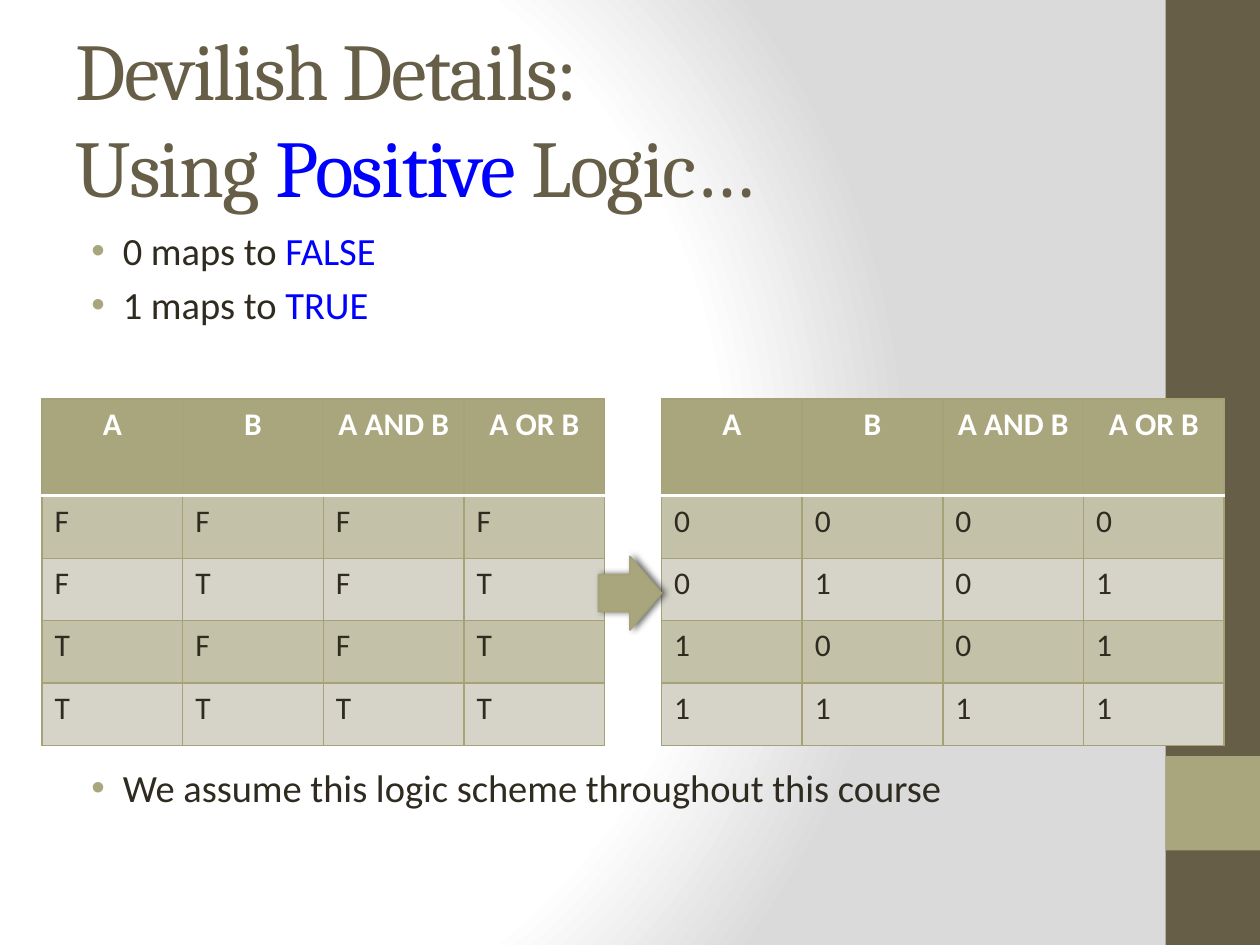
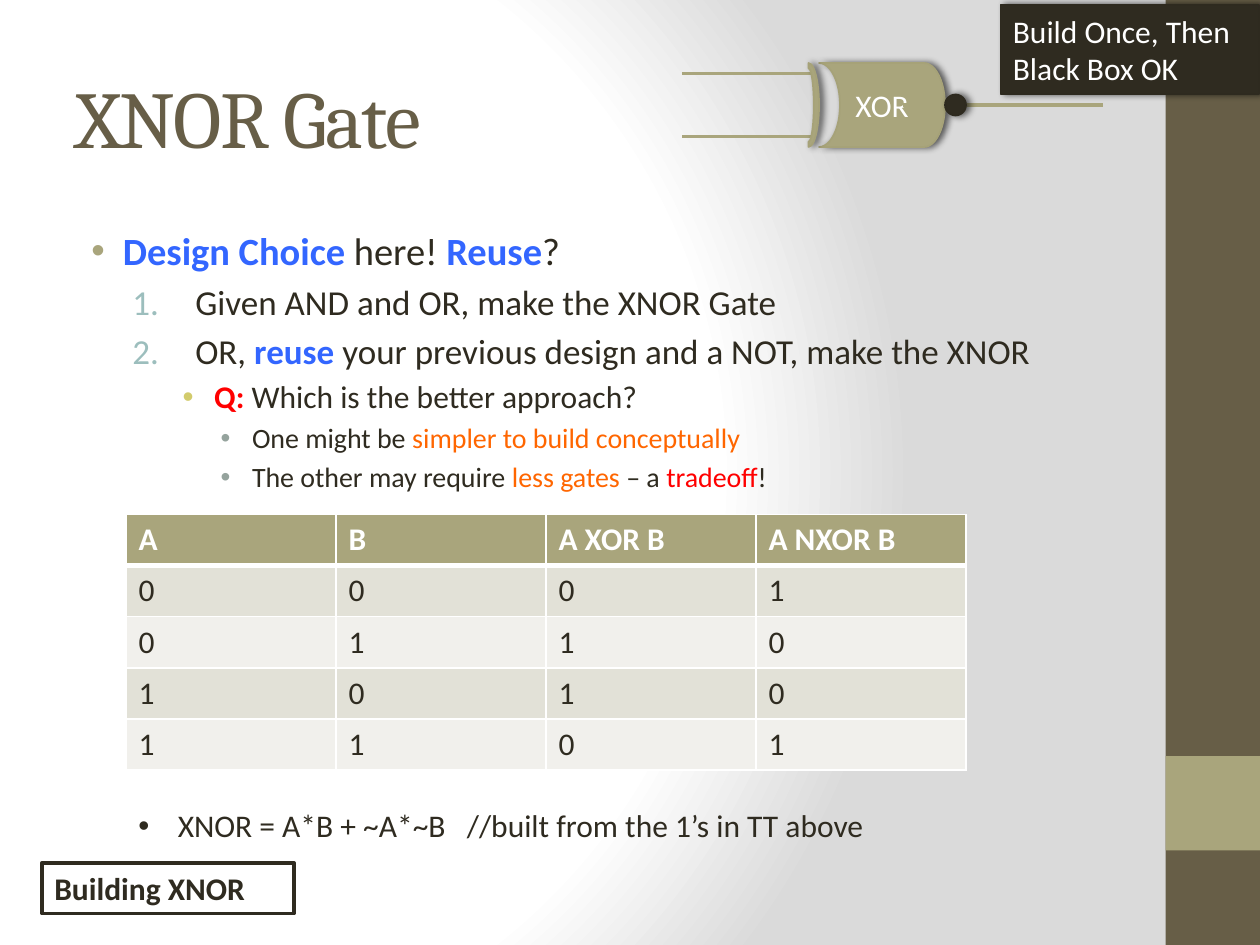
from lxml.etree import SubElement
from pptx import Presentation
from pptx.dml.color import RGBColor
from pptx.enum.shapes import MSO_CONNECTOR as LINE, MSO_SHAPE as SHAPE
from pptx.enum.text import MSO_ANCHOR as ANCHOR, MSO_AUTO_SIZE as FIT, PP_ALIGN as ALIGN
from pptx.oxml import parse_xml
from pptx.oxml.ns import nsdecls, qn
from pptx.util import Pt

COLORS = {
    "white": "FFFFFF", "haze": "DADADA", "brown": "675E47", "olive": "A9A57C",
    "olive_edge": "A6A278", "ink": "2F2B20", "ink_edge": "2E2A1F",
    "blue": "0000FF", "sky": "3366FF", "red": "FF0000", "orange": "FF6600",
    "teal": "9CBEBD", "lime": "D2CB6C", "sage": "95A39D",
    "band_dark": "C4C1A9", "band_light": "D6D4C8",
    "pale_dark": "E2E1D7", "pale_light": "F1F0EC",
}
TITLE = {"name": "Cambria", "size": Pt(46), "color": "brown", "spacing": -1}
TEXT = {"name": "Calibri", "size": Pt(18), "color": "ink"}
WHITE_TEXT = {**TEXT, "color": "white"}
BOLD_TEXT = {**TEXT, "bold": True}
BLUE = {"color": "blue"}
SKY = {"color": "sky", "bold": True}
ORANGE = {"color": "orange"}
LEVELS = {
    "point": {"size": 22, "left": 27, "hang": 18, "bullet": "•", "color": "olive", "depth": 0},
    "step": {"size": 20, "left": 68.4, "hang": 36, "bullet": "1.", "color": "teal", "depth": 1},
    "question": {"size": 18, "left": 79.2, "hang": 18, "bullet": "•", "color": "lime", "depth": 2},
    "answer": {"size": 16, "left": 100.8, "hang": 18, "bullet": "•", "color": "sage", "depth": 3},
    "note": {"size": 18, "left": 22.5, "hang": 22.5, "bullet": "•", "color": "ink", "depth": 0},
}
GATE_HEADS = ["A", "B", "A AND B", "A OR B"]
BITS = ["00", "01", "10", "11"]


def rgb(color):
    return RGBColor.from_string(COLORS[color])


def place(shape, left, top, width, height):
    for side, value in zip(("left", "top", "width", "height"), (left, top, width, height)):
        setattr(shape, side, Pt(value))


def add_spans(para, spans, base):
    for item in spans:
        text, changes = item if isinstance(item, tuple) else (item, {})
        if text == "\n":
            para.add_line_break()
            continue
        span = para.add_run()
        span.text = text
        for key, value in {**base, **changes}.items():
            if key == "color":
                span.font.color.rgb = rgb(value)
            elif key == "spacing":
                span.font._element.set("spc", str(int(value * 100)))
            else:
                setattr(span.font, key, value)


def set_bullet(para, level):
    props = para._p.get_or_add_pPr()
    props.set("marL", str(Pt(level["left"])))
    props.set("indent", str(-Pt(level["hang"])))
    color = SubElement(props, qn("a:buClr"))
    SubElement(color, qn("a:srgbClr"), val=COLORS[level["color"]])
    if level["bullet"] == "1.":
        SubElement(props, qn("a:buFont"), typeface="+mj-lt")
        SubElement(props, qn("a:buAutoNum"), type="arabicPeriod")
    else:
        SubElement(props, qn("a:buFont"), typeface="Arial")
        SubElement(props, qn("a:buChar"), char=level["bullet"])


def fill_list(frame, items):
    frame.word_wrap = True
    frame.auto_size = FIT.NONE
    for number, (name, spans, *gap) in enumerate(items):
        level = LEVELS[name]
        para = frame.add_paragraph() if number else frame.paragraphs[0]
        para.level = level["depth"]
        set_bullet(para, level)
        before = gap[0] if gap else level["size"] * 0.2
        para.space_before = Pt(before if number else 0)
        add_spans(para, spans, {**TEXT, "size": Pt(level["size"])})


def add_shadow(shape):
    shape._element.spPr.append(parse_xml(
        f'<a:effectLst {nsdecls("a")}><a:outerShdw blurRad="{Pt(4)}" dist="{Pt(2)}" dir="0" '
        'rotWithShape="0"><a:srgbClr val="000000"><a:alpha val="60000"/></a:srgbClr>'
        '</a:outerShdw></a:effectLst>'))


def add_block(page, kind, area, fill, edge=None, weight=1, shadow=False, turn=0):
    block = page.shapes.add_shape(kind, *map(Pt, area))
    block.fill.solid()
    block.fill.fore_color.rgb = rgb(fill)
    block.rotation = turn
    if edge:
        block.line.color.rgb = rgb(edge)
        block.line.width = Pt(weight)
    else:
        block.line.fill.background()
    if shadow:
        add_shadow(block)
    else:
        block.shadow.inherit = False
    return block


def label(block, text, style, align=ALIGN.LEFT):
    frame = block.text_frame
    frame.word_wrap = True
    frame.vertical_anchor = ANCHOR.MIDDLE
    frame.paragraphs[0].alignment = align
    add_spans(frame.paragraphs[0], [text], style)


def add_wire(page, left, right, height):
    wire = page.shapes.add_connector(LINE.STRAIGHT, Pt(left), Pt(height), Pt(right), Pt(height))
    wire.line.color.rgb = rgb("olive")
    wire.line.width = Pt(2)
    SubElement(wire._element.spPr, qn("a:effectLst"))


def set_borders(cell, edges):
    props = cell._tc.get_or_add_tcPr()
    for side in "LRTB":
        color, weight = edges[side]
        border = SubElement(props, qn(f"a:ln{side}"), w=str(Pt(weight)))
        paint = SubElement(border, qn("a:solidFill"))
        SubElement(paint, qn("a:srgbClr"), val=COLORS[color])


def add_truth_table(page, area, rows, head_height, bands, edge, rule, align):
    left, top, width, height = area
    columns = len(rows[0])
    table = page.shapes.add_table(len(rows), columns, *map(Pt, area)).table
    table.first_row = table.horz_banding = False
    for column in table.columns:
        column.width = Pt(width / columns)
    for number, row in enumerate(table.rows):
        row.height = Pt((height - head_height) / (len(rows) - 1) if number else head_height)
        for cell, text in zip(row.cells, rows[number]):
            edges = dict.fromkeys("LRTB", (edge, 1))
            if number < 2:
                edges["T" if number else "B"] = ("white", rule)
            set_borders(cell, edges)
            cell.fill.solid()
            cell.fill.fore_color.rgb = rgb(bands[(number - 1) % 2] if number else "olive")
            para = cell.text_frame.paragraphs[0]
            para.alignment = ALIGN.LEFT if number else align
            add_spans(para, [text], TEXT if number else {**WHITE_TEXT, "bold": True})


def set_background(master):
    master.background.fill.solid()
    props = master.element.find(f".//{qn('p:bgPr')}")
    stops = "".join(f'<a:gs pos="{spot * 1000}"><a:srgbClr val="{COLORS[color]}"/></a:gs>'
                    for spot, color in ((0, "white"), (75, "white"), (100, "haze")))
    props.replace(props[0], parse_xml(
        f'<a:gradFill {nsdecls("a")} rotWithShape="1"><a:gsLst>{stops}</a:gsLst>'
        '<a:path path="circle"><a:fillToRect l="20000" t="50000" r="100000" b="50000"/>'
        '</a:path></a:gradFill>'))


def add_page(deck, title_spans, items):
    page = deck.slides.add_slide(deck.slide_layouts[1])
    add_block(page, SHAPE.RECTANGLE, (666, 0, 54, 540), "brown")
    add_block(page, SHAPE.RECTANGLE, (666, 432, 54, 54), "olive")
    title, body = page.placeholders
    place(title, 36, 21.6, 600, 90)
    place(body, 36, 126, 600, 378)
    frame = title.text_frame
    frame.word_wrap = True
    frame.auto_size = FIT.NONE
    frame.vertical_anchor = ANCHOR.MIDDLE
    frame.paragraphs[0].alignment = ALIGN.LEFT
    add_spans(frame.paragraphs[0], title_spans, TITLE)
    fill_list(body.text_frame, items)
    return page


def add_xnor_gate(page):
    solid = {"fill": "olive", "edge": "olive_edge", "shadow": True}
    gate = add_block(page, SHAPE.FLOWCHART_STORED_DATA, (468, 36, 72, 48), turn=180, **solid)
    label(gate, "XOR", WHITE_TEXT, ALIGN.CENTER)
    gate.text_frame._txBody.bodyPr.set("rot", "10800000")
    for left, right, height in ((390, 464, 42), (390, 464, 78), (516, 630, 60)):
        add_wire(page, left, right, height)
    add_block(page, SHAPE.BLOCK_ARC, (438, 54, 48, 12), turn=90, **solid)
    add_block(page, SHAPE.OVAL, (540, 54, 12, 12), "ink", "ink_edge", shadow=True)


def add_positive_logic(deck):
    page = add_page(
        deck,
        ["Devilish Details:", ("\n", {}), "Using ", ("Positive", BLUE), " Logic…"],
        [("point", ["0 maps to ", ("FALSE", BLUE)]),
         ("point", ["1 maps to ", ("TRUE", BLUE)]),
         ("point", ["We assume this logic scheme throughout this course"], 250)])
    results = ["00", "01", "01", "11"]
    digits = [list(bits + result) for bits, result in zip(BITS, results)]
    letters = [["FT"[int(digit)] for digit in row] for row in digits]
    for left, rows in ((24, letters), (378, digits)):
        add_truth_table(page, (left, 228, 321.6, 198), [GATE_HEADS, *rows], 55.4,
                        ("band_dark", "band_light"), "olive_edge", 2, ALIGN.CENTER)
    add_block(page, SHAPE.RIGHT_ARROW, (342, 318, 36, 42), "olive", "olive_edge", shadow=True)


def add_xnor(deck):
    page = add_page(
        deck,
        ["XNOR Gate"],
        [("point", [("Design Choice", SKY), " here! ", ("Reuse", SKY), "?"]),
         ("step", ["Given AND and OR, make the XNOR Gate"]),
         ("step", ["OR, ", ("reuse", SKY), " your previous design and a NOT, make the XNOR"]),
         ("question", [("Q:", {"color": "red", "bold": True}), " Which is the better approach?"]),
         ("answer", ["One might be ", ("simpler to build conceptually", ORANGE)]),
         ("answer", ["The other may require ", ("less gates", ORANGE), " – a ",
                     ("tradeoff", {"color": "red"}), "!"])])
    results = ["01", "10", "10", "01"]
    rows = [list(bits + result) for bits, result in zip(BITS, results)]
    add_truth_table(page, (72, 294, 480, 146), [["A", "B", "A XOR B", "A NXOR B"], *rows], 29.2,
                    ("pale_dark", "pale_light"), "white", 3, ALIGN.LEFT)
    add_xnor_gate(page)
    formula = page.shapes.add_textbox(*map(Pt, (72, 457.2, 486, 29)))
    fill_list(formula.text_frame, [("note", [
        "XNOR = A*B + ~A*~B", (" ", {"spacing": 8}), "//built from the 1’s in TT above"])])
    caption = add_block(page, SHAPE.RECTANGLE, (24, 493, 144, 29), "white", "ink", 2)
    label(caption, "Building XNOR", BOLD_TEXT)
    advice = add_block(page, SHAPE.RECTANGLE, (571.7, 2.7, 147.6, 51), "ink", "ink_edge", shadow=True)
    label(advice, "Build Once, Then Black Box OK", WHITE_TEXT)


def main():
    deck = Presentation()
    deck.slide_width, deck.slide_height = Pt(720), Pt(540)
    set_background(deck.slide_master)
    add_positive_logic(deck)
    add_xnor(deck)
    deck.save("out.pptx")


if __name__ == "__main__":
    main()
